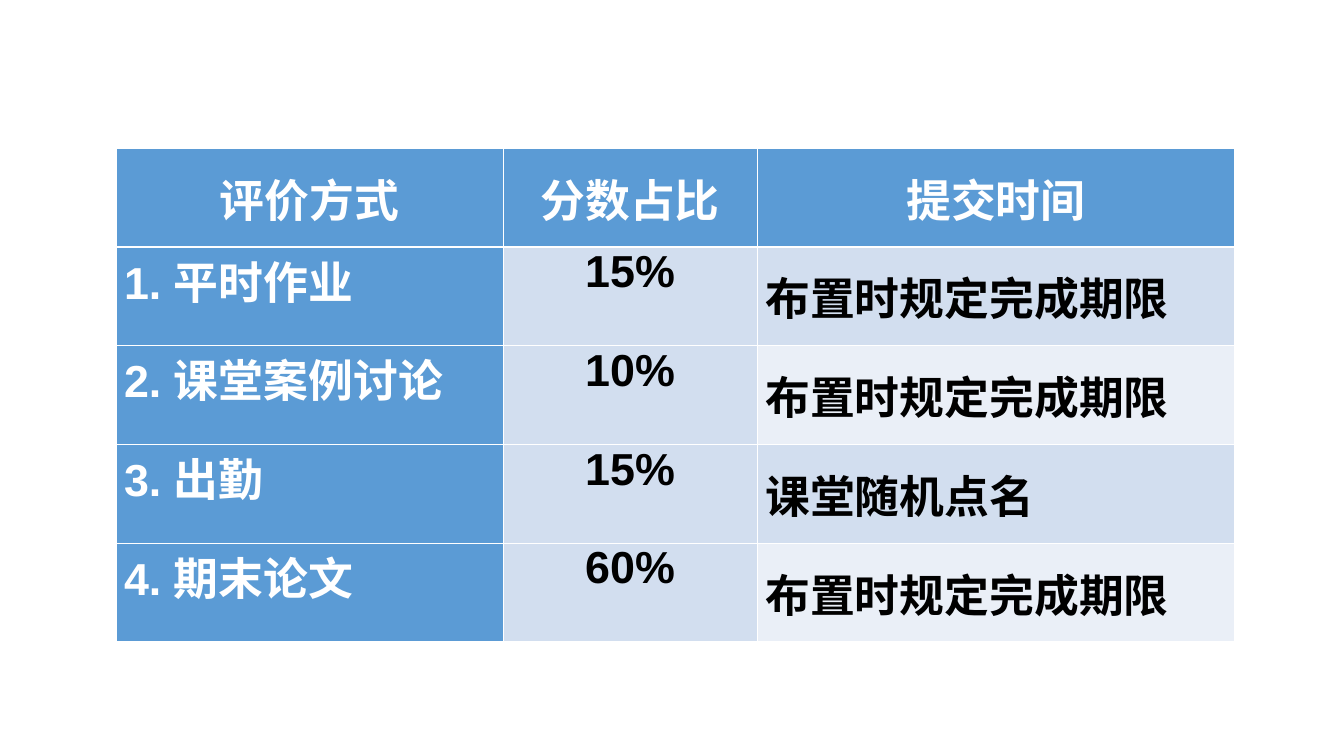
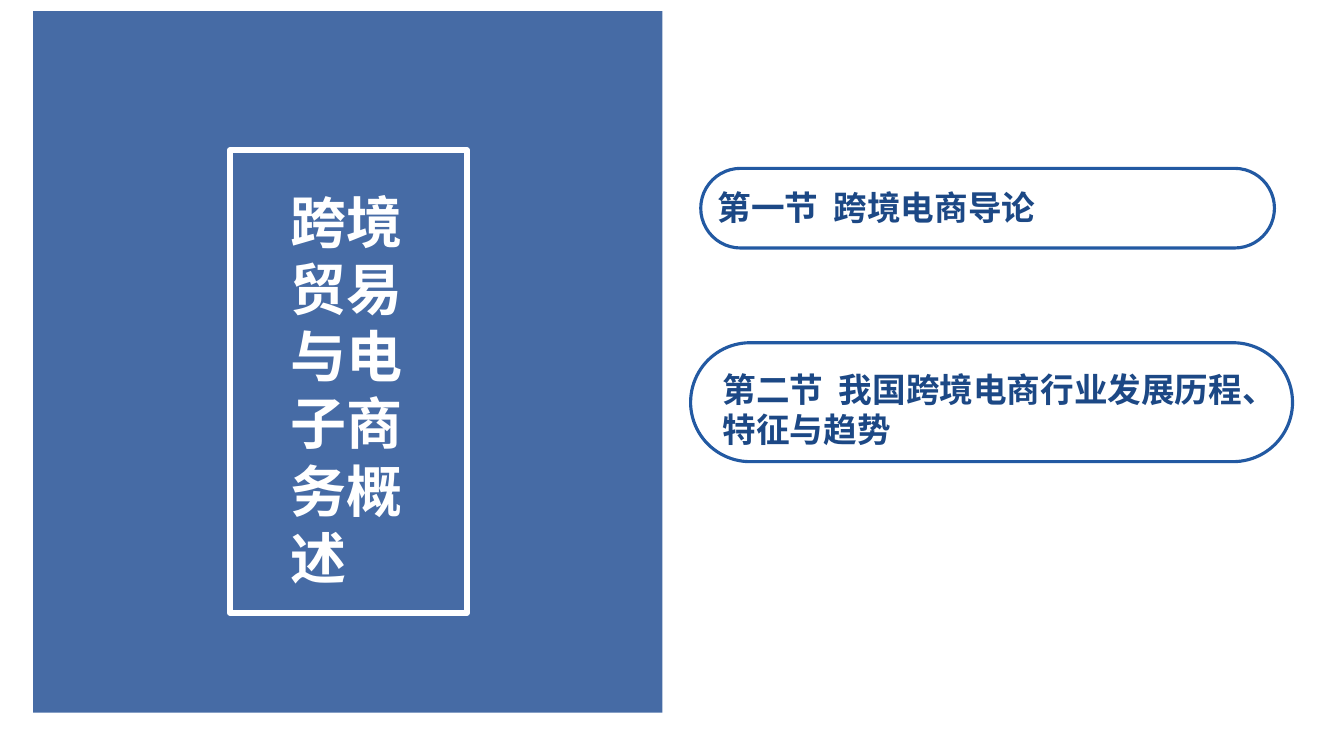
"""Build a grading table slide and a chapter contents slide."""
import dataclasses
import typing

import lxml.etree
import pptx
import pptx.dml.color
import pptx.enum.shapes
import pptx.enum.text
import pptx.oxml.ns
import pptx.util

Inches = pptx.util.Inches
Pt = pptx.util.Pt
qn = pptx.oxml.ns.qn
ALIGN = pptx.enum.text.PP_ALIGN
ANCHOR = pptx.enum.text.MSO_ANCHOR
SHAPE = pptx.enum.shapes.MSO_SHAPE

CJK = "Noto Sans CJK SC"
WHITE, BLACK = "FFFFFF", "000000"
HEAD, BAND_DARK, BAND_LIGHT = "5B9BD5", "D2DEEF", "EAEFF7"
PANEL, OUTLINE, ITEM_TEXT = "18478F", "2259A2", "1C4885"

TABLE_FONT = {"name": "Arial", "size": Pt(32), "bold": True}
TITLE_FONT = {"name": CJK, "size": Pt(40), "bold": True}
ITEM_FONT = {"name": CJK, "size": Pt(24), "bold": True}
CELL_MARGINS = {
    "margin_left": Inches(0.08),
    "margin_right": Inches(0.08),
    "margin_top": 0,
    "margin_bottom": 0,
}

COL_WIDTHS = (3.84, 2.52, 4.74)
ROW_HEIGHT = 0.98
ROWS = (
    ("评价方式", "分数占比", "提交时间"),
    ("1. 平时作业", "15%", "布置时规定完成期限"),
    ("2. 课堂案例讨论", "10%", "布置时规定完成期限"),
    ("3. 出勤", "15%", "课堂随机点名"),
    ("4. 期末论文", "60%", "布置时规定完成期限"),
)


@dataclasses.dataclass(frozen=True)
class Box:
    left: float
    top: float
    width: float
    height: float

    def emu(self) -> tuple[int, ...]:
        return tuple(Inches(v) for v in dataclasses.astuple(self))


@dataclasses.dataclass(frozen=True)
class Section:
    text: str
    frame: Box
    label: Box


SECTIONS = (
    Section("第一节  跨境电商导论", Box(6.95, 1.67, 5.69, 0.79), Box(7.02, 1.81, 4.26, 0.5)),
    Section("第二节  我国跨境电商行业发展历程、特征与趋势",
            Box(6.85, 3.4, 5.97, 1.18), Box(7.07, 3.61, 5.57, 0.91)),
)


def rgb(value: str) -> pptx.dml.color.RGBColor:
    return pptx.dml.color.RGBColor.from_string(value)


def apply(target: typing.Any, values: dict[str, typing.Any]) -> None:
    for name, value in values.items():
        setattr(target, name, value)


def write(tf: typing.Any, text: str, font: dict[str, typing.Any], color: str,
          align: ALIGN = ALIGN.LEFT) -> None:
    p = tf.paragraphs[0]
    p.alignment = align
    r = p.add_run()
    r.text = text
    apply(r.font, font)
    r.font.color.rgb = rgb(color)
    latin = r.font._element.find(qn("a:latin"))
    ea = lxml.etree.Element(qn("a:ea"), typeface=CJK)
    latin.addnext(ea)


def add_text(shapes: typing.Any, box: Box, text: str, font: dict[str, typing.Any],
             color: str) -> None:
    tf = shapes.add_textbox(*box.emu()).text_frame
    tf.word_wrap = True
    write(tf, text, font, color)


def add_outline(shapes: typing.Any, kind: SHAPE, box: Box, color: str, width: float) -> typing.Any:
    sp = shapes.add_shape(kind, *box.emu())
    sp.shadow.inherit = False
    sp.fill.background()
    sp.line.color.rgb = rgb(color)
    sp.line.width = Pt(width)
    return sp


def add_panel(shapes: typing.Any, box: Box, color: str, opacity: int) -> None:
    sp = shapes.add_shape(SHAPE.RECTANGLE, *box.emu())
    sp.shadow.inherit = False
    sp.fill.solid()
    sp.fill.fore_color.rgb = rgb(color)
    sp.line.fill.background()
    tint = sp._element.spPr.find(qn("a:solidFill")).find(qn("a:srgbClr"))
    lxml.etree.SubElement(tint, qn("a:alpha"), val=str(opacity * 1000))


def add_borders(cell: typing.Any, color: str, width: float) -> None:
    tc_pr = cell._tc.get_or_add_tcPr()
    for i, side in enumerate(("lnL", "lnR", "lnT", "lnB")):
        ln = lxml.etree.Element(qn(f"a:{side}"), w=str(Pt(width)))
        fill = lxml.etree.SubElement(ln, qn("a:solidFill"))
        lxml.etree.SubElement(fill, qn("a:srgbClr"), val=color)
        tc_pr.insert(i, ln)


def cell_fill(row: int, col: int) -> str:
    if row == 0 or col == 0:
        return HEAD
    return BAND_LIGHT if col == 2 and row % 2 == 0 else BAND_DARK


def build_grading(prs: typing.Any) -> None:
    s = prs.slides.add_slide(prs.slide_layouts[6])
    box = Box(1.15, 1.47, sum(COL_WIDTHS), ROW_HEIGHT * len(ROWS))
    table = s.shapes.add_table(len(ROWS), len(COL_WIDTHS), *box.emu()).table
    for column, width in zip(table.columns, COL_WIDTHS):
        column.width = Inches(width)
    for i, texts in enumerate(ROWS):
        table.rows[i].height = Inches(ROW_HEIGHT)
        for j, text in enumerate(texts):
            cell = table.cell(i, j)
            apply(cell, CELL_MARGINS)
            cell.vertical_anchor = ANCHOR.MIDDLE if i == 0 or j == 2 else ANCHOR.TOP
            cell.fill.solid()
            cell.fill.fore_color.rgb = rgb(cell_fill(i, j))
            add_borders(cell, WHITE, 1)
            write(cell.text_frame, text, TABLE_FONT,
                  WHITE if i == 0 or j == 0 else BLACK,
                  ALIGN.CENTER if i == 0 or j == 1 else ALIGN.JUSTIFY)


def build_contents(prs: typing.Any) -> None:
    s = prs.slides.add_slide(prs.slide_layouts[6])
    title = s.shapes.add_group_shape().shapes
    add_panel(title, Box(0.33, 0.11, 6.24, 6.96), PANEL, 80)
    add_text(title, Box(2.78, 1.81, 1.75, 4.14), "跨境贸易与电子商务概述", TITLE_FONT, WHITE)
    add_outline(title, SHAPE.RECTANGLE, Box(2.28, 1.49, 2.35, 4.59), WHITE, 4.25)
    for section in SECTIONS:
        group = s.shapes.add_group_shape().shapes
        sp = add_outline(group, SHAPE.ROUNDED_RECTANGLE, section.frame, OUTLINE, 2.25)
        sp.adjustments[0] = 0.5
        add_text(group, section.label, section.text, ITEM_FONT, ITEM_TEXT)


def main() -> None:
    prs = pptx.Presentation()
    prs.slide_width, prs.slide_height = Inches(13.33), Inches(7.5)
    build_grading(prs)
    build_contents(prs)
    prs.save("out.pptx")


if __name__ == "__main__":
    main()
